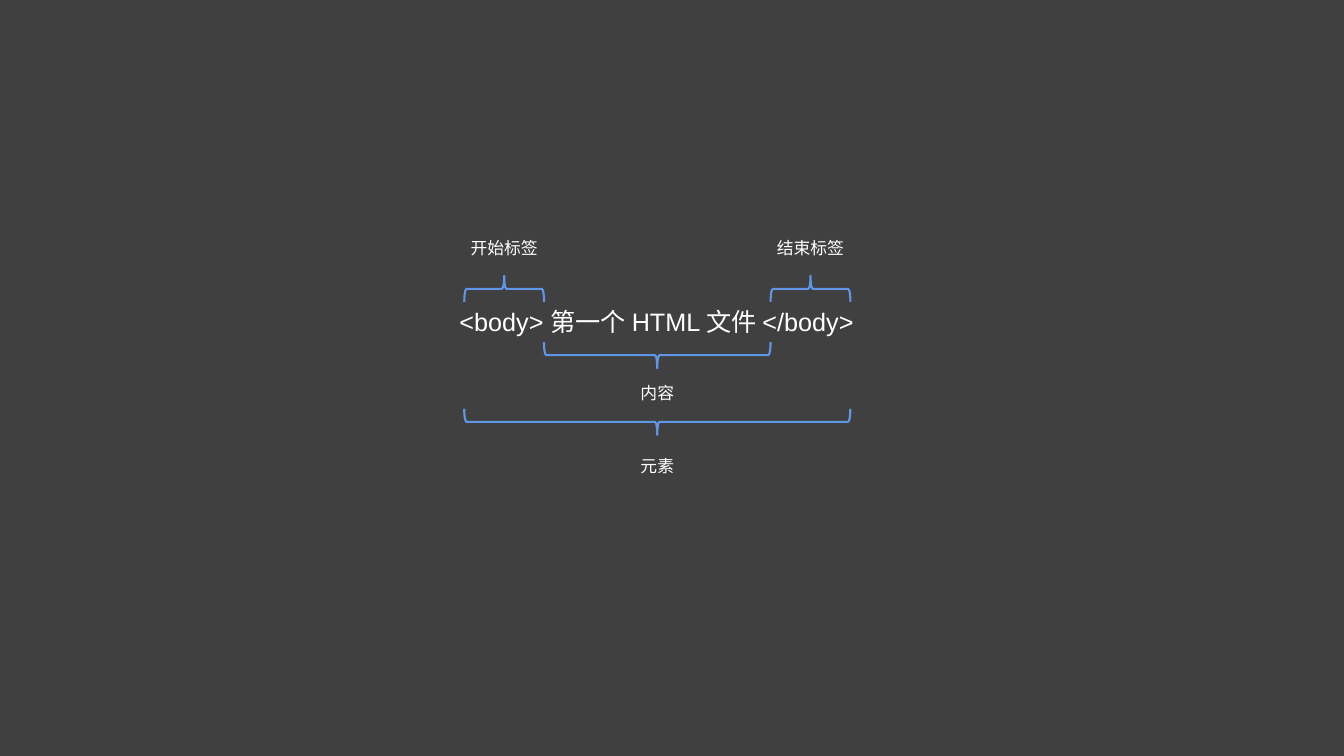
from pptx import Presentation
from pptx.dml.color import RGBColor
from pptx.enum.shapes import MSO_SHAPE
from pptx.enum.text import MSO_AUTO_SIZE, PP_ALIGN
from pptx.util import Cm, Pt

BACKGROUND = RGBColor(0x40, 0x40, 0x40)
WHITE = RGBColor(0xFF, 0xFF, 0xFF)
BLUE = RGBColor(0x60, 0x96, 0xE6)

FONT = "Arial"
BRACE_DEPTH = 0.66
LABEL_WIDTH, LABEL_HEIGHT = 2.36, 0.76
TAG_SPAN = 2.01


def add_text(slide, text, left, top, width, height, size, alignment):
    box = slide.shapes.add_textbox(Cm(left), Cm(top), Cm(width), Cm(height))
    frame = box.text_frame
    frame.word_wrap = True
    frame.auto_size = MSO_AUTO_SIZE.SHAPE_TO_FIT_TEXT
    paragraph = frame.paragraphs[0]
    paragraph.alignment = alignment
    run = paragraph.add_run()
    run.text = text
    run.font.name = FONT
    run.font.size = Pt(size)
    run.font.color.rgb = WHITE


def add_brace(slide, start, end, middle, rotation):
    """Lay a left brace on its side, from start to end, around a height."""
    span = end - start
    center = (start + end) / 2
    brace = slide.shapes.add_shape(
        MSO_SHAPE.LEFT_BRACE,
        Cm(center - BRACE_DEPTH / 2), Cm(middle - span / 2),
        Cm(BRACE_DEPTH), Cm(span))
    brace.rotation = rotation
    brace.shadow.inherit = False
    brace.fill.background()
    brace.line.color.rgb = BLUE
    brace.line.width = Pt(1.5)


def add_element_diagram(slide, left, top, width):
    # Code line
    add_text(slide, "<body> 第一个 HTML 文件 </body>",
             left, top + 1.73, width, 1.02, 18, PP_ALIGN.LEFT)

    # Bounds of the element and of its content
    start, end = left + 0.37, left + 10.1
    content_start, content_end = start + TAG_SPAN, end - TAG_SPAN

    # Braces with their labels: above the tags, below content and element
    parts = [
        ("开始标签", start, content_start, 1.41, 90, 0),
        ("结束标签", content_end, end, 1.41, 90, 0),
        ("内容", content_start, content_end, 3.08, 270, 3.66),
        ("元素", start, end, 4.76, 270, 5.48),
    ]
    for label, part_start, part_end, brace_middle, rotation, label_top in parts:
        add_brace(slide, part_start, part_end, top + brace_middle, rotation)
        label_left = (part_start + part_end - LABEL_WIDTH) / 2
        add_text(slide, label, label_left, top + label_top,
                 LABEL_WIDTH, LABEL_HEIGHT, 12, PP_ALIGN.CENTER)


def main():
    presentation = Presentation()
    presentation.slide_width = Cm(33.87)
    presentation.slide_height = Cm(19.05)

    # Blank layout: the slide has no title
    slide = presentation.slides.add_slide(presentation.slide_layouts[6])
    slide.background.fill.solid()
    slide.background.fill.fore_color.rgb = BACKGROUND

    add_element_diagram(slide, left=11.33, top=5.87, width=11.23)
    presentation.save("out.pptx")


if __name__ == "__main__":
    main()
